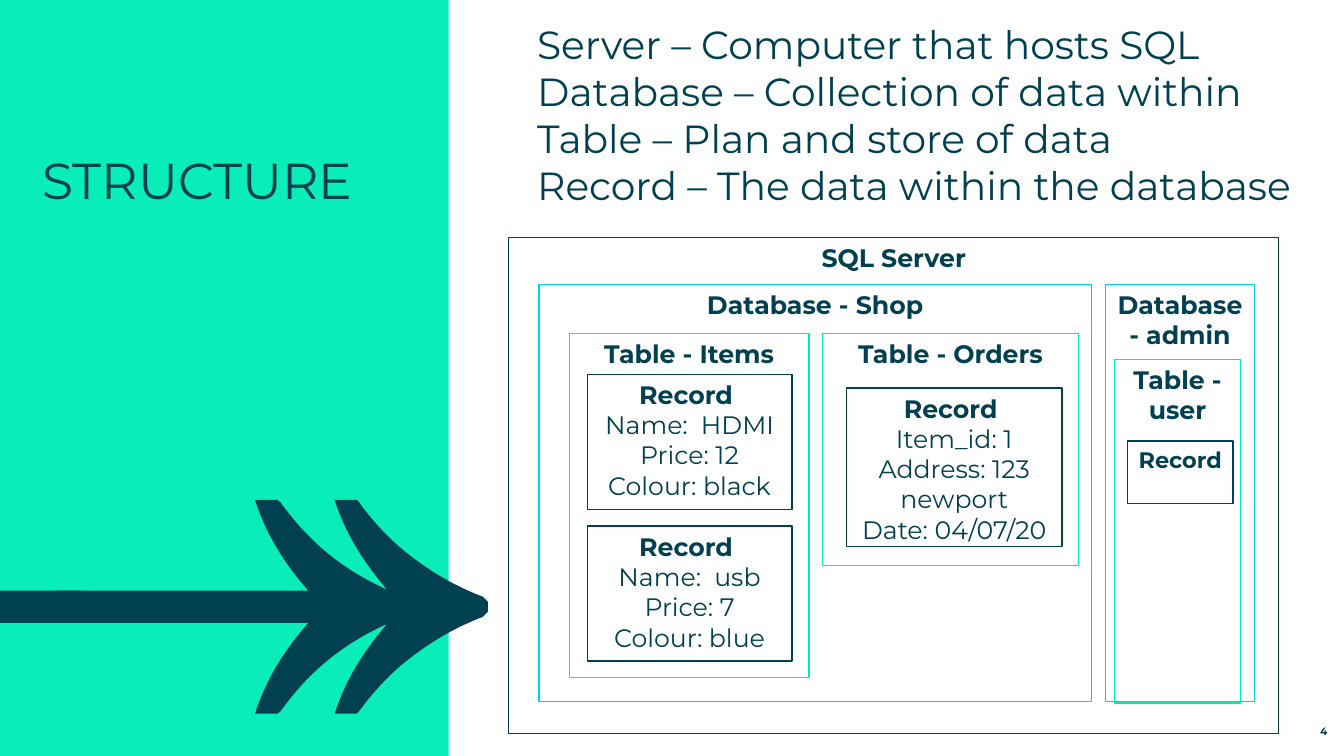
from lxml.etree import SubElement
from pptx import Presentation
from pptx.dml.color import RGBColor
from pptx.enum.shapes import MSO_SHAPE as SHAPE
from pptx.enum.text import MSO_ANCHOR as ANCHOR, PP_ALIGN as ALIGN
from pptx.oxml.ns import qn
from pptx.util import Inches, Pt

NAVY = RGBColor(0x00, 0x40, 0x50)
MINT = RGBColor(0x09, 0xED, 0xB8)
GREEN = RGBColor(0x03, 0xEA, 0xB3)
CYAN = RGBColor(0x00, 0xCE, 0xF9)
FONT = "Montserrat"
H = Inches(7.5)
W = H * 16 // 9
COL, ROW = W / 40, H / 22.5

SHAFT = (0, 0.48)
FLETCHING = [
    [(7.56, 0.48)],
    [(6.84, 1.29), (6.3, 2.16), (5.97, 3.18)],
    [(6.63, 3.18)],
    [(6.72, 3.12)],
    [(7.11, 2.58), (7.56, 2.07), (8.1, 1.62)],
    [(8.64, 1.17), (9.24, 0.81), (9.9, 0.51)],
    [(9.21, 1.32), (8.67, 2.16), (8.34, 3.18)],
    [(9, 3.18)],
    [(9.06, 3.12)],
    [(9.54, 2.46), (10.08, 1.89), (10.74, 1.41)],
    [(11.34, 0.96), (12.03, 0.57), (12.75, 0.3)],
    [(12.9, 0.15)],
]


def emu(box):
    x, y, w, h = box
    return round(x * COL), round(y * ROW), round(w * COL), round(h * ROW)


def inside(box, x, y, w, h):
    return box[0] + x, box[1] + y, w, h


def write(tf, paragraphs, size=18, bold=False, align=ALIGN.LEFT,
          anchor=ANCHOR.TOP, inset=None, body_bold=None):
    tf.word_wrap = True
    tf.vertical_anchor = anchor
    if inset is not None:
        tf.margin_left = tf.margin_right = inset
        tf.margin_top = tf.margin_bottom = inset
    for i, text in enumerate(paragraphs):
        p = tf.add_paragraph() if i else tf.paragraphs[0]
        p.alignment = align
        for j, line in enumerate(text.split("\n")):
            if j:
                p.add_line_break()
            r = p.add_run()
            r.text = line
            r.font.name, r.font.size = FONT, Pt(size)
            r.font.bold = bold if i == 0 or body_bold is None else body_bold
            r.font.color.rgb = NAVY


def paint(sp, color):
    sp.shadow.inherit = False
    sp.fill.solid()
    sp.fill.fore_color.rgb = color
    sp.line.fill.background()


def add_block(slide, box, color):
    paint(slide.shapes.add_shape(SHAPE.RECTANGLE, *emu(box)), color)


def add_text(slide, box, paragraphs, **fmt):
    tb = slide.shapes.add_textbox(*emu(box))
    write(tb.text_frame, paragraphs, inset=0, **fmt)


def add_frame(slide, box, color, lines, size=18):
    sp = slide.shapes.add_shape(SHAPE.RECTANGLE, *emu(box))
    sp.shadow.inherit = False
    sp.fill.background()
    sp.line.color.rgb = color
    sp.line.width = Pt(1)
    write(sp.text_frame, lines, size=size, bold=True, body_bold=False,
          align=ALIGN.CENTER)


def mirrored(start, segments):
    starts = [start] + [seg[-1] for seg in segments]
    tip = starts[-1]
    back = [[(x, -y) for x, y in (*seg[-2::-1], begin)]
            for begin, seg in zip(starts[-2::-1], reversed(segments))]
    return segments + [[(tip[0], -tip[1])]] + back


def add_arrow(slide, box):
    x, y, w, h = box
    axis = y + h / 2

    def place(point):
        return round((x + point[0]) * COL), round((axis - point[1]) * ROW)

    segments = [[place(pt) for pt in seg] for seg in mirrored(SHAFT, FLETCHING)]
    fb = slide.shapes.build_freeform(*place(SHAFT))
    fb.add_line_segments([seg[-1] for seg in segments], close=True)
    sp = fb.convert_to_shape()
    paint(sp, NAVY)
    for side, seg in zip(list(sp.element.iter(qn("a:lnTo"))), segments):
        if len(seg) == 3:
            side.tag = qn("a:cubicBezTo")
            side.clear()
            for px, py in seg:
                SubElement(side, qn("a:pt"), x=str(px - sp.left), y=str(py - sp.top))
    add_block(slide, (0, axis - 0.48, x + 0.81, 0.96), NAVY)


def add_side_panel(slide, box):
    add_block(slide, box, MINT)
    add_arrow(slide, inside(box, 1.62, 14.88, 12.9, 6.36))
    add_text(slide, inside(box, 1.26, 4.44, 11.31, 9.03), ["STRUCTURE"], size=36)


def add_shop(slide, box):
    add_frame(slide, box, CYAN, ["Database - Shop"])
    items = inside(box, 0.9, 1.47, 7.14, 10.23)
    orders = inside(box, 8.44, 1.47, 7.62, 6.9)
    add_frame(slide, items, GREEN, ["Table - Items"])
    add_frame(slide, orders, GREEN, ["Table - Orders"])
    records = [("Name:  HDMI", "Price: 12", "Colour: black"),
               ("Name:  usb", "Price: 7", "Colour: blue")]
    for i, fields in enumerate(records):
        add_frame(slide, inside(items, 0.54, 1.21 + 4.52 * i, 6.09, 4.02),
                  NAVY, ["Record ", *fields])
    add_frame(slide, inside(orders, 0.71, 1.62, 6.42, 4.71), NAVY,
              ["Record ", "Item_id: 1", "Address: 123 newport", "Date: 04/07/20"])


def add_admin(slide, box):
    add_frame(slide, box, CYAN, ["Database - admin"])
    user = inside(box, 0.27, 2.24, 3.75, 10.23)
    add_frame(slide, user, GREEN, ["Table - user"])
    add_frame(slide, inside(user, 0.38, 2.42, 3.15, 1.86), NAVY, ["Record "], size=16)


def add_server(slide, box):
    add_frame(slide, box, NAVY, ["SQL Server"])
    add_shop(slide, inside(box, 0.9, 1.39, 16.44, 12.42))
    add_admin(slide, inside(box, 17.76, 1.39, 4.44, 12.42))


def main():
    prs = Presentation()
    prs.slide_width, prs.slide_height = W, H
    slide = prs.slides.add_slide(prs.slide_layouts[6])
    add_side_panel(slide, (0, 0, 13.35, 22.5))
    add_text(slide, (36.93, 21.36, 2.58, 0.6), ["4"], size=7.6, bold=True,
             align=ALIGN.RIGHT, anchor=ANCHOR.BOTTOM)
    add_server(slide, (15.14, 7.07, 22.92, 14.76))
    add_text(slide, (15.99, 0.6, 22.68, 16.8),
             ["Server – Computer that hosts SQL\n"
              "Database – Collection of data within\n"
              "Table – Plan and store of data\n"
              "Record – The data within the database"], size=28)
    prs.save("out.pptx")


if __name__ == "__main__":
    main()
